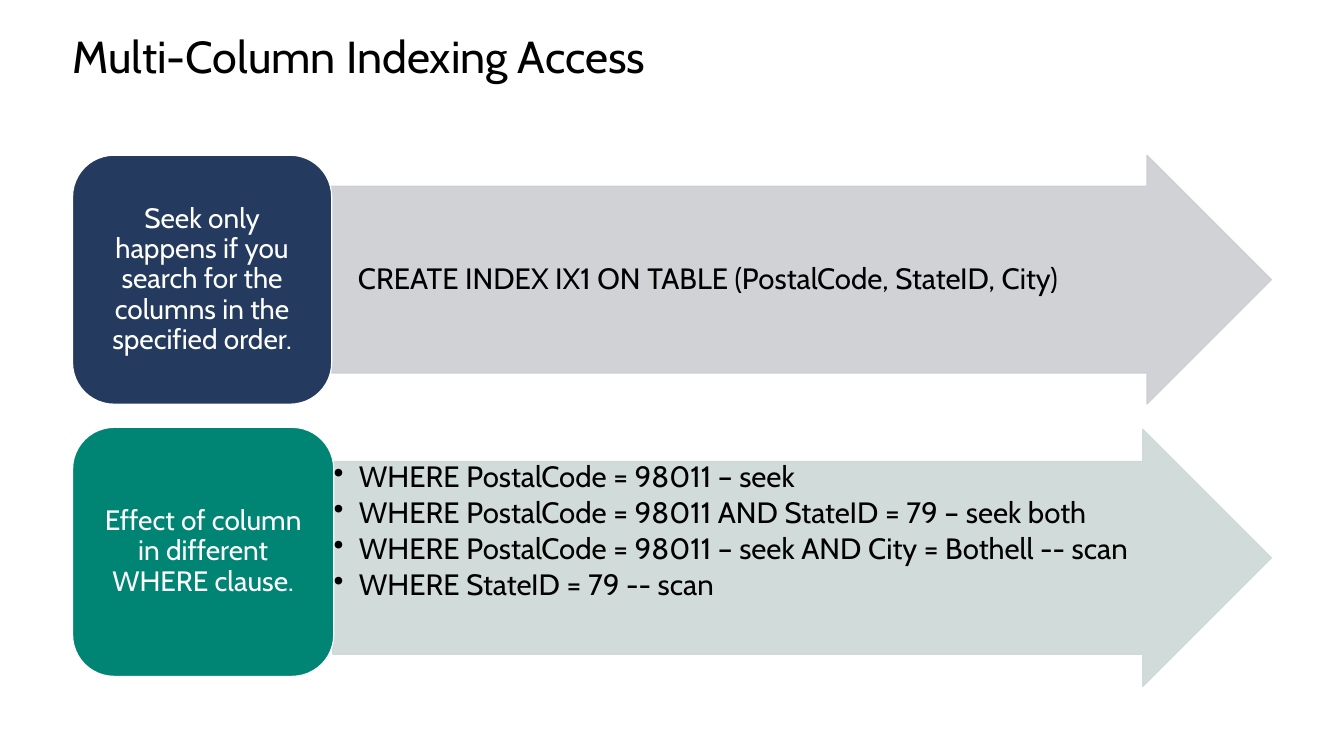
from dataclasses import dataclass
from lxml import etree
from pptx import Presentation
from pptx.dml.color import RGBColor
from pptx.enum import shapes, text
from pptx.oxml import ns
from pptx.util import Inches, Pt


@dataclass
class Theme:
    font: str = "Cabin"
    black: str = "000000"
    white: str = "FFFFFF"
    navy: str = "243A5E"
    teal: str = "008575"
    gray: str = "CDCED2"
    mint: str = "CCD9D6"
    title: int = 32
    body: int = 21
    label: int = 20


theme = Theme()
Kind = shapes.MSO_SHAPE
Anchor = text.MSO_ANCHOR
Align = text.PP_ALIGN


def write(shape, words, size, color, align, anchor, pad=(0, 0), gap=0):
    """Fill a shape with styled text; pad is (sides, top and bottom) in inches."""
    frame = shape.text_frame
    frame.word_wrap = True
    frame.vertical_anchor = anchor
    frame.margin_left = frame.margin_right = Inches(pad[0])
    frame.margin_top = frame.margin_bottom = Inches(pad[1])
    frame.text = words
    for para in frame.paragraphs:
        para.alignment = align
        para.line_spacing = 0.9
        para.space_after = Pt(gap)
        for run in para.runs:
            run.font.name = theme.font
            run.font.size = Pt(size)
            run.font.color.rgb = RGBColor.from_string(color)


def block(kind, box, fill, line, alpha=None):
    """Add a filled shape; alpha is the opacity in percent."""
    shape = slide.shapes.add_shape(kind, *map(Inches, box))
    shape.shadow.inherit = False
    shape.fill.solid()
    shape.fill.fore_color.rgb = RGBColor.from_string(fill)
    shape.line.color.rgb = RGBColor.from_string(line)
    shape.line.width = Pt(0.85)
    if alpha:
        for color in shape._element.spPr.iter(ns.qn("a:srgbClr")):
            etree.SubElement(color, ns.qn("a:alpha"), val=str(alpha * 1000))
    return shape


deck = Presentation()
deck.slide_width, deck.slide_height = Inches(13.33), Inches(7.5)
slide = deck.slides.add_slide(deck.slide_layouts[6])

title = slide.shapes.add_textbox(*map(Inches, (0.72, 0.35, 11.9, 0.5)))
write(title, "Multi-Column Indexing Access", theme.title, theme.black, Align.LEFT, Anchor.TOP)

rows = [
    ((3.29, 1.54, 9.32, 2.47), theme.gray, Anchor.MIDDLE, False,
     ["CREATE INDEX IX1 ON TABLE (PostalCode, StateID, City)"],
     (0.72, 1.54, 2.57, 2.47), theme.navy,
     "Seek only happens if you search for the columns in the specified order."),
    ((3.3, 4.26, 9.31, 2.55), theme.mint, Anchor.TOP, True,
     ["WHERE PostalCode = 98011 – seek",
      "WHERE PostalCode = 98011 AND StateID = 79 – seek both",
      "WHERE PostalCode = 98011 – seek AND City = Bothell -- scan",
      "WHERE StateID = 79 -- scan"],
     (0.72, 4.24, 2.59, 2.47), theme.teal,
     "Effect of column in different WHERE clause."),
]

for span, tint, anchor, listed, lines, box, fill, label in rows:
    arrow = block(Kind.RIGHT_ARROW, span, tint, tint, alpha=90)
    arrow.adjustments[0] = 0.75
    write(arrow, "\n".join(lines), theme.body, theme.black, Align.LEFT, anchor,
          pad=(0.01, 0.01), gap=3)
    for para in arrow.text_frame.paragraphs:
        props = para._p.get_or_add_pPr()
        props.set("marL", str(Inches(0.25)))
        if listed:
            props.set("indent", str(Inches(-0.25)))
            etree.SubElement(props, ns.qn("a:buChar"), char="•")

    card = block(Kind.ROUNDED_RECTANGLE, box, fill, theme.white)
    write(card, label, theme.label, theme.white, Align.CENTER, Anchor.MIDDLE, pad=(0.08, 0.04))

deck.save("out.pptx")
